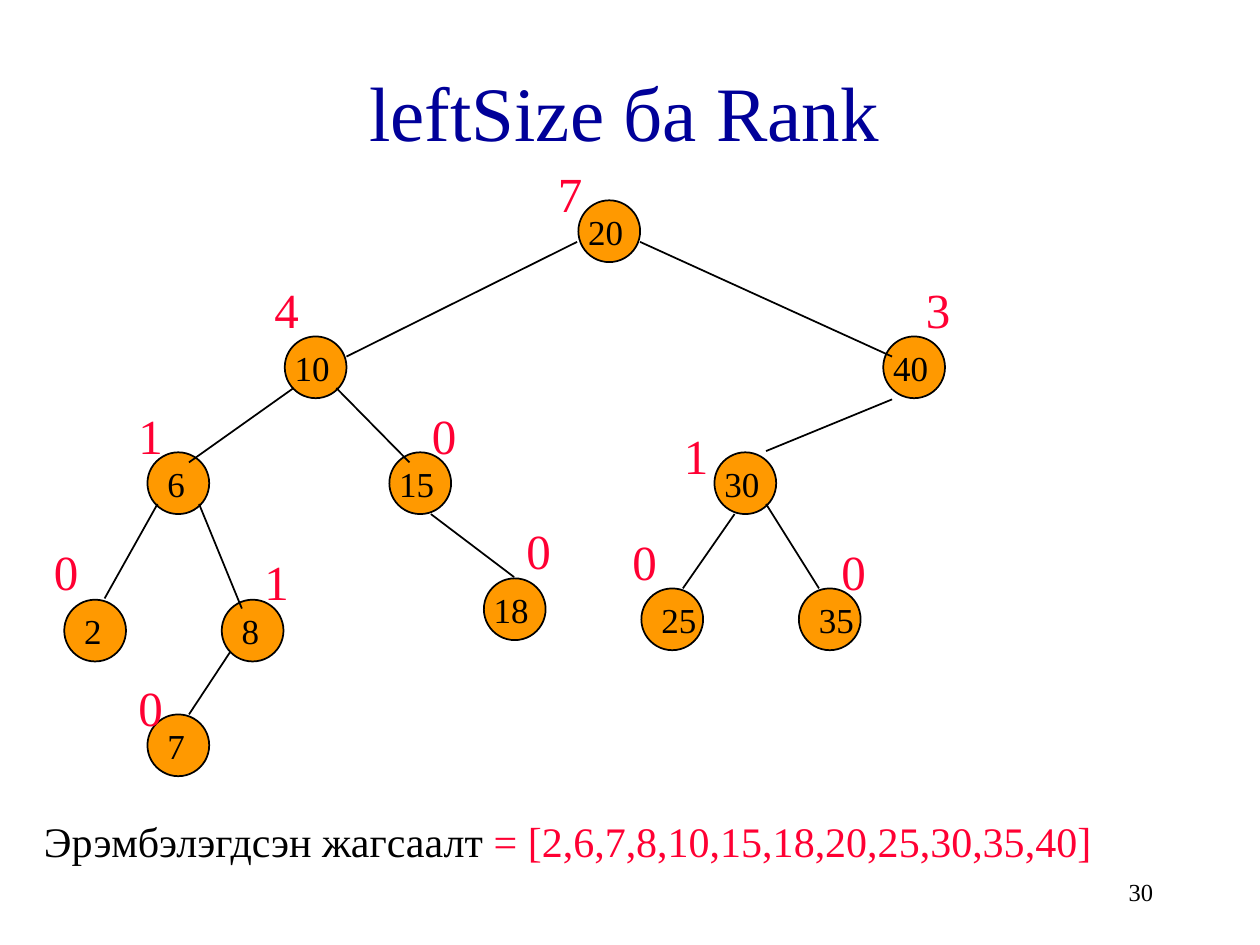
from lxml import etree
from pptx import Presentation
from pptx.dml.color import RGBColor
from pptx.enum.shapes import MSO_CONNECTOR, MSO_SHAPE
from pptx.enum.text import MSO_ANCHOR, PP_ALIGN
from pptx.oxml.ns import qn
from pptx.util import Inches, Pt

ELLIPSE = MSO_SHAPE.OVAL
STRAIGHT = MSO_CONNECTOR.STRAIGHT
TOP, MIDDLE = MSO_ANCHOR.TOP, MSO_ANCHOR.MIDDLE
LEFT, CENTER, RIGHT = PP_ALIGN.LEFT, PP_ALIGN.CENTER, PP_ALIGN.RIGHT

BLACK, RED, NAVY, ORANGE = "000000", "FF0033", "000099", "FF9900"
NODE_SIZE = 0.49


def color(hex_value):
    return RGBColor.from_string(hex_value)


presentation = Presentation()
presentation.slide_width = Inches(10)
presentation.slide_height = Inches(7.5)
slide = presentation.slides.add_slide(presentation.slide_layouts[6])


def add_text(runs, left, top, width, height, size, align=LEFT, anchor=TOP, wrap=True):
    shape = slide.shapes.add_textbox(Inches(left), Inches(top), Inches(width), Inches(height))
    frame = shape.text_frame
    frame.word_wrap = wrap
    frame.vertical_anchor = anchor
    paragraph = frame.paragraphs[0]
    paragraph.alignment = align
    for text, hex_value in runs:
        run = paragraph.add_run()
        run.text = text
        run.font.name = "Times New Roman"
        run.font.size = Pt(size)
        run.font.color.rgb = color(hex_value)


add_text([("leftSize ба Rank", NAVY)], 0.08, 0.25, 9.75, 1.25, 44, align=CENTER, anchor=MIDDLE)

# value, left, top, label offset, rank, rank left, rank top
nodes = [
    ("20", 4.59, 1.59, -0.02, "7", 4.33, 1.25),
    ("10", 2.26, 2.67, -0.02, "4", 2.08, 2.17),
    ("40", 7.01, 2.67, -0.02, "3", 7.25, 2.17),
    ("6", 1.17, 3.59, 0.06, "1", 1, 3.17),
    ("15", 3.09, 3.59, -0.02, "0", 3.33, 3.17),
    ("30", 5.67, 3.59, -0.02, "1", 5.33, 3.33),
    ("2", 0.51, 4.76, 0.06, "0", 0.33, 4.25),
    ("8", 1.76, 4.76, 0.06, "1", 2, 4.33),
    ("18", 3.84, 4.59, -0.02, "0", 4.08, 4.08),
    ("25", 5.09, 4.67, 0.06, "0", 4.92, 4.17),
    ("35", 6.34, 4.67, 0.06, "0", 6.58, 4.25),
    ("7", 1.17, 5.67, 0.06, "0", 1, 5.33),
]

for value, left, top, offset, rank, rank_left, rank_top in nodes:
    shape = slide.shapes.add_shape(
        ELLIPSE, Inches(left), Inches(top), Inches(NODE_SIZE), Inches(NODE_SIZE))
    shape.shadow.inherit = False
    shape.fill.solid()
    shape.fill.fore_color.rgb = color(ORANGE)
    shape.line.color.rgb = color(BLACK)
    shape.line.width = Pt(1)

edges = [
    (4.58, 1.92, 2.75, 2.83),
    (5.08, 1.92, 7.08, 2.83),
    (2.33, 3.08, 1.5, 3.67),
    (2.67, 3.08, 3.25, 3.67),
    (7.08, 3.17, 6.08, 3.58),
    (1.25, 4, 0.83, 4.75),
    (1.58, 4, 1.92, 4.83),
    (3.42, 4.08, 4.08, 4.58),
    (5.83, 4.08, 5.42, 4.67),
    (6.08, 4, 6.5, 4.67),
    (1.83, 5.17, 1.5, 5.67),
]

for edge in edges:
    connector = slide.shapes.add_connector(STRAIGHT, *[Inches(length) for length in edge])
    connector.line.color.rgb = color(BLACK)
    connector.line.width = Pt(1)
    etree.SubElement(connector._element.spPr, qn("a:effectLst"))

for value, left, top, offset, rank, rank_left, rank_top in nodes:
    label_width = 0.2 + 0.14 * len(value)
    add_text([(value, BLACK)], left + offset, top + 0.03, label_width, 0.43, 20, wrap=False)
    add_text([(rank, RED)], rank_left, rank_top, 0.25, 0.57, 28)

sorted_list = [("Эрэмбэлэгдсэн жагсаалт", BLACK), (" = [2,6,7,8,10,15,18,20,25,30,35,40]", RED)]
add_text(sorted_list, 0.25, 6.42, 9.42, 0.5, 24)
add_text([("30", BLACK)], 7.17, 6.83, 2.08, 0.5, 14, align=RIGHT, anchor=MIDDLE)

presentation.save("out.pptx")
